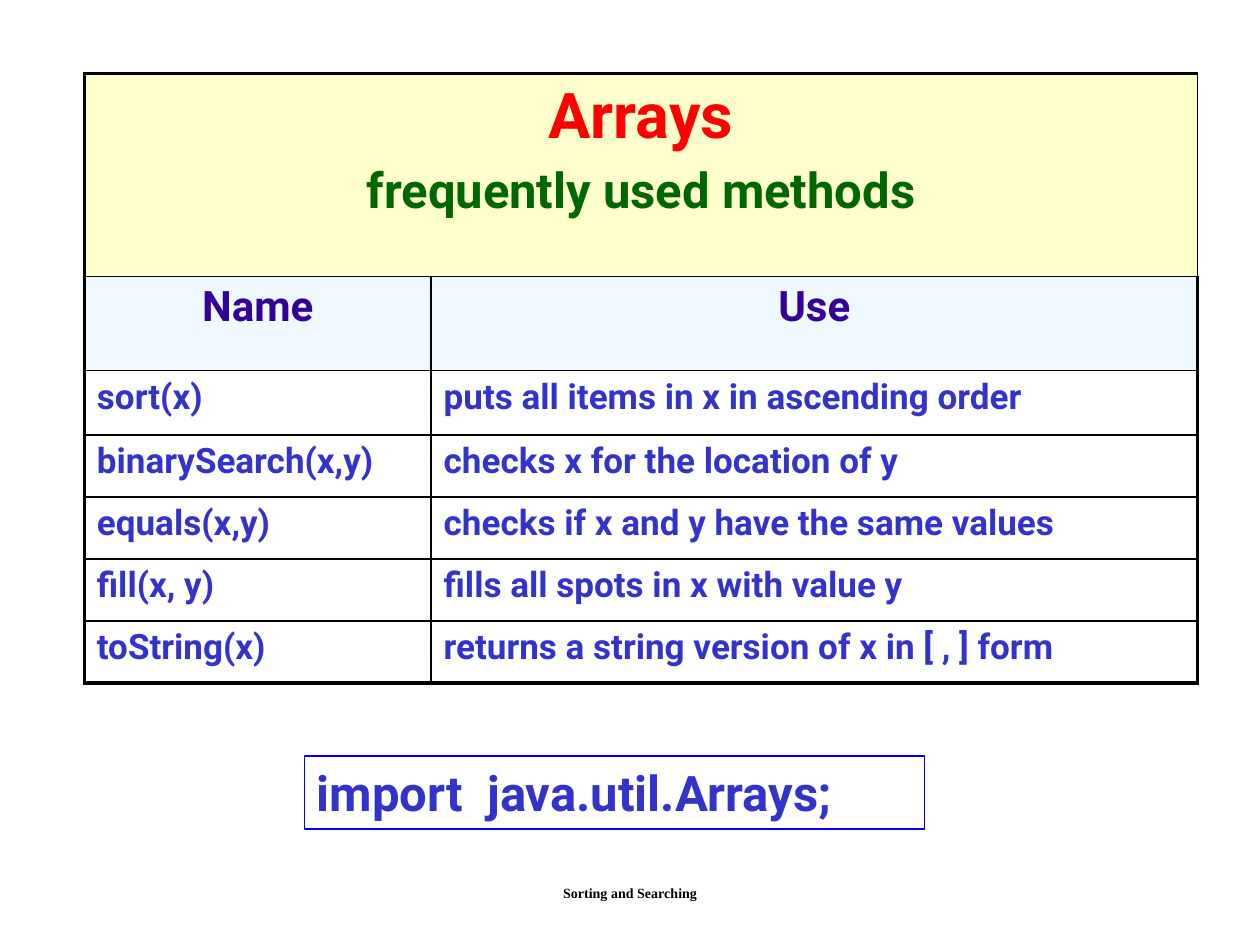
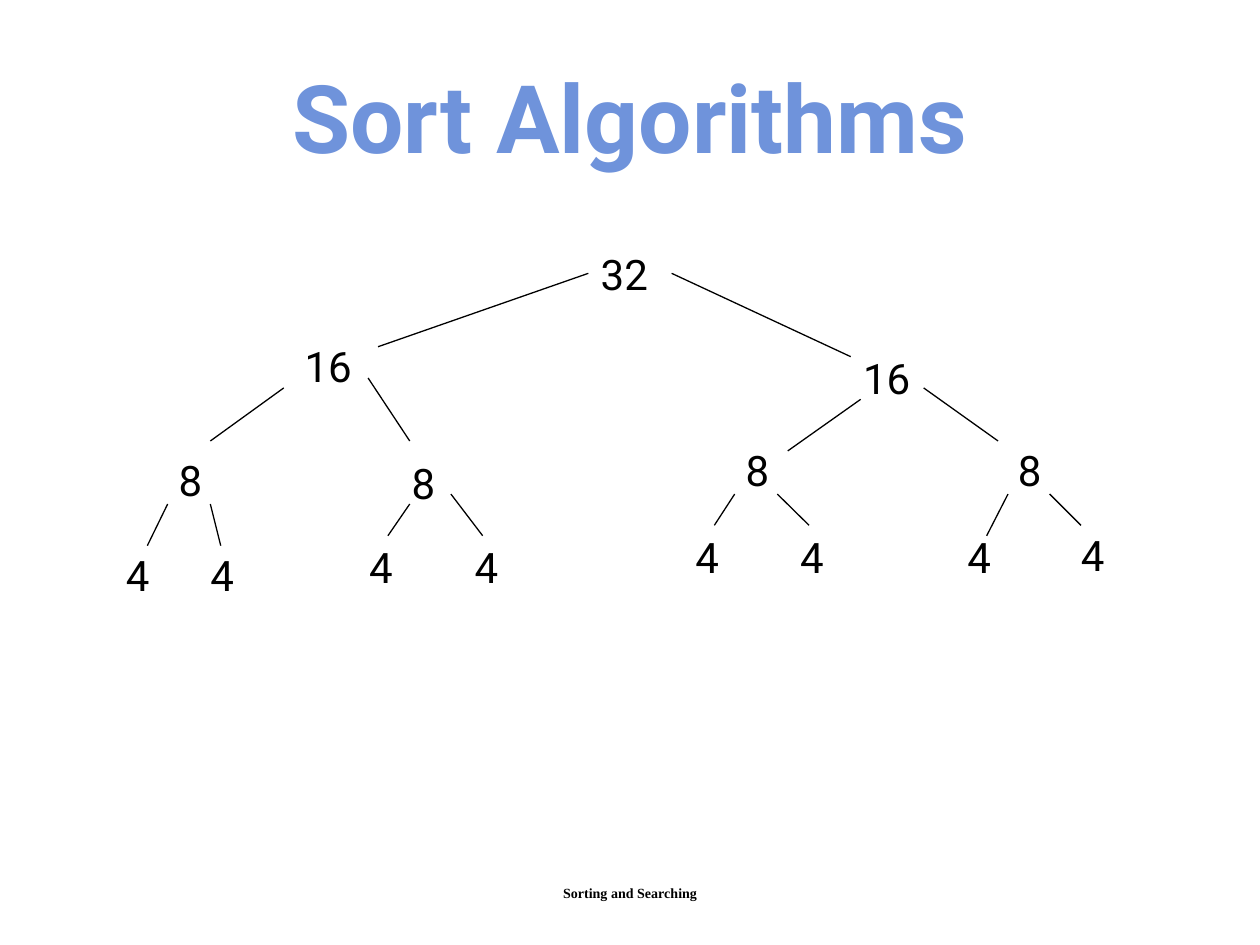
"""Build two slides on array methods and the splitting tree of sort algorithms."""
from dataclasses import dataclass

from lxml import etree
from pptx import Presentation
from pptx.dml.color import RGBColor
from pptx.enum.shapes import MSO_CONNECTOR, MSO_SHAPE
from pptx.enum.text import MSO_ANCHOR, MSO_AUTO_SIZE, PP_ALIGN
from pptx.oxml.ns import qn
from pptx.util import Cm, Pt

LEFT, CENTER = PP_ALIGN.LEFT, PP_ALIGN.CENTER
TOP, MIDDLE = MSO_ANCHOR.TOP, MSO_ANCHOR.MIDDLE
FIXED, GROW = MSO_AUTO_SIZE.NONE, MSO_AUTO_SIZE.SHAPE_TO_FIT_TEXT
STRAIGHT, RECTANGLE = MSO_CONNECTOR.STRAIGHT, MSO_SHAPE.RECTANGLE


@dataclass(frozen=True)
class TextStyle:
    """Size, colour, weight, typeface and alignment of one kind of text."""
    size: float
    color: str
    bold: bool = True
    name: str = "Roboto"
    align: PP_ALIGN = LEFT


@dataclass(frozen=True)
class Theme:
    """Colours, line widths and text styles of the whole deck."""
    ink: str = "000000"
    import_frame: str = "0000FF"
    class_fill: str = "FFFFCC"
    heading_fill: str = "E1F4FF"
    heading_opacity: int = 50
    branch_line: float = 0.75
    thin_line: float = 1
    thick_line: float = 2.25
    space_before: float = 0.2
    title: TextStyle = TextStyle(54, "6F93DB", align=CENTER)
    class_name: TextStyle = TextStyle(36, "FF0000", align=CENTER)
    class_note: TextStyle = TextStyle(28, "006600", align=CENTER)
    heading: TextStyle = TextStyle(24, "330099", align=CENTER)
    method: TextStyle = TextStyle(20, "3333CC")
    statement: TextStyle = TextStyle(28, "3333CC")
    node: TextStyle = TextStyle(24, "000000", bold=False)
    footer: TextStyle = TextStyle(8, "000000", name="Times New Roman", align=CENTER)


THEME = Theme()

METHODS = [
    ("sort(x)", "puts all items in x in ascending order"),
    ("binarySearch(x,y)", "checks x for the location of y"),
    ("equals(x,y)", "checks if x and y have the same values"),
    ("fill(x, y)", "fills all spots in x with value y"),
    ("toString(x)", "returns a string version of x in [ , ] form"),
]
COLUMN_WIDTHS = [6.99, 15.45]
ROW_HEIGHTS = [4.09, 1.9, 1.3] + [1.25] * 4

NODE_WIDTHS = {1: 1.04, 2: 1.57}
NODE_HEIGHT = 1.45
TREE_NODES = {
    "32": [(11.86, 4.88)],
    "16": [(5.89, 6.73), (17.15, 6.99)],
    "8": [(3.35, 9.04), (8.05, 9.09), (14.78, 8.84), (20.27, 8.84)],
    "4": [(2.29, 10.95), (3.99, 10.95), (7.19, 10.8), (9.32, 10.8),
          (13.77, 10.59), (15.88, 10.59), (19.25, 10.59), (21.54, 10.54)],
}
BRANCHES = [
    (5.72, 7.82, 4.24, 8.89), (7.42, 7.62, 8.26, 8.89),
    (11.86, 5.51, 7.62, 6.99), (13.54, 5.51, 17.15, 7.19),
    (3.38, 10.16, 2.97, 11), (4.24, 10.16, 4.45, 11),
    (8.26, 10.16, 7.82, 10.8), (9.09, 9.96, 9.73, 10.8),
    (14.81, 9.96, 14.4, 10.59), (15.67, 9.96, 16.31, 10.59),
    (17.35, 8.05, 15.88, 9.09), (18.62, 7.82, 20.12, 8.89),
    (20.32, 9.96, 19.89, 10.8), (21.16, 9.96, 21.79, 10.59),
]


def rgb(color):
    """Turn a hex string into a colour."""
    return RGBColor.from_string(color)


def apply_format(target, values):
    """Set every attribute given in a dict of format values."""
    for attribute, value in values.items():
        setattr(target, attribute, value)


def write_paragraph(paragraph, wording, style):
    """Write one styled run into a paragraph."""
    paragraph.alignment = style.align
    font_format = {"name": style.name, "size": Pt(style.size), "bold": style.bold}
    run = paragraph.add_run()
    run.text = wording
    apply_format(run.font, font_format)
    run.font.color.rgb = rgb(style.color)


def add_text(slide, box, wording, style, wrap=True, fit=GROW, anchor=TOP):
    """Add a text box with one paragraph."""
    label = slide.shapes.add_textbox(*map(Cm, box))
    frame_format = {"word_wrap": wrap, "auto_size": fit, "vertical_anchor": anchor}
    apply_format(label.text_frame, frame_format)
    write_paragraph(label.text_frame.paragraphs[0], wording, style)


def add_framed_text(slide, box, wording, style):
    """Add an unfilled rectangle that holds one paragraph."""
    frame = slide.shapes.add_shape(RECTANGLE, *map(Cm, box))
    frame.shadow.inherit = False
    frame.fill.background()
    frame.line.color.rgb = rgb(THEME.import_frame)
    frame.line.width = Pt(THEME.thin_line)
    frame_format = {"word_wrap": True, "auto_size": GROW, "vertical_anchor": TOP}
    apply_format(frame.text_frame, frame_format)
    write_paragraph(frame.text_frame.paragraphs[0], wording, style)


def add_branch(slide, ends):
    """Add a thin straight line between two points."""
    branch = slide.shapes.add_connector(STRAIGHT, *map(Cm, ends))
    branch.line.color.rgb = rgb(THEME.ink)
    branch.line.width = Pt(THEME.branch_line)
    etree.SubElement(branch._element.spPr, qn("a:effectLst"))


def fill_cell(cell, color=None, opacity=100):
    """Fill a cell with a colour, or leave it clear."""
    if color is None:
        cell.fill.background()
        return
    cell.fill.solid()
    cell.fill.fore_color.rgb = rgb(color)
    if opacity < 100:
        shade = cell._tc.tcPr.find(".//" + qn("a:srgbClr"))
        etree.SubElement(shade, qn("a:alpha"), val=str(opacity * 1000))


def border_cell(cell, outer_sides):
    """Draw the four borders of a cell, thick on the outer sides."""
    for position, side in enumerate("LRTB"):
        width = THEME.thick_line if side in outer_sides else THEME.thin_line
        border = etree.Element(qn("a:ln" + side), w=str(Pt(width)))
        solid = etree.SubElement(border, qn("a:solidFill"))
        etree.SubElement(solid, qn("a:srgbClr"), val=THEME.ink)
        cell._tc.get_or_add_tcPr().insert(position, border)


def write_cell(cell, lines):
    """Write styled lines into a cell, one paragraph each."""
    for index, (wording, style) in enumerate(lines):
        frame = cell.text_frame
        paragraph = frame.add_paragraph() if index else frame.paragraphs[0]
        paragraph.space_before = Pt(style.size * THEME.space_before)
        write_paragraph(paragraph, wording, style)


def add_method_table(slide):
    """Add the table of methods under its class heading."""
    row_count, column_count = len(ROW_HEIGHTS), len(COLUMN_WIDTHS)
    size = (sum(COLUMN_WIDTHS), sum(ROW_HEIGHTS))
    table = slide.shapes.add_table(
        row_count, column_count, *map(Cm, (1.7, 1.48, *size))).table
    apply_format(table, {"first_row": False, "horz_banding": False})
    for column, width in zip(table.columns, COLUMN_WIDTHS):
        column.width = Cm(width)
    for row, height in zip(table.rows, ROW_HEIGHTS):
        row.height = Cm(height)

    fills = {0: (THEME.class_fill,), 1: (THEME.heading_fill, THEME.heading_opacity)}
    for row in range(row_count):
        for column in range(column_count):
            edges = {"L": column == 0, "R": column == column_count - 1,
                     "T": row == 0, "B": row == row_count - 1}
            cell = table.cell(row, column)
            fill_cell(cell, *fills.get(row, ()))
            border_cell(cell, [side for side, outer in edges.items() if outer])

    table.cell(0, 0).merge(table.cell(0, column_count - 1))
    write_cell(table.cell(0, 0), [("Arrays", THEME.class_name),
                                  ("frequently used methods", THEME.class_note)])
    for row, entries in enumerate([("Name", "Use"), *METHODS], start=1):
        style = THEME.heading if row == 1 else THEME.method
        for column, wording in enumerate(entries):
            write_cell(table.cell(row, column), [(wording, style)])


def add_split_tree(slide):
    """Add the tree that halves 32 down to 4."""
    for value, places in TREE_NODES.items():
        for place in places:
            box = (*place, NODE_WIDTHS[len(value)], NODE_HEIGHT)
            add_text(slide, box, value, THEME.node, wrap=False)
    for ends in BRANCHES:
        add_branch(slide, ends)


def add_lesson_slide(deck):
    """Add a blank slide with the shared footer."""
    slide = deck.slides.add_slide(deck.slide_layouts[6])
    add_text(slide, (8.68, 17.36, 8.05, 1.27), "Sorting and Searching",
             THEME.footer, wrap=False, fit=FIXED, anchor=MIDDLE)
    return slide


def main():
    """Build and save the deck."""
    deck = Presentation()
    apply_format(deck, {"slide_width": Cm(25.4), "slide_height": Cm(19.05)})

    methods_slide = add_lesson_slide(deck)
    add_method_table(methods_slide)
    add_framed_text(methods_slide, (6.14, 15.24, 12.5, 1.48),
                    "import  java.util.Arrays;", THEME.statement)

    tree_slide = add_lesson_slide(deck)
    add_split_tree(tree_slide)
    add_text(tree_slide, (0, 1.06, 25.4, 2.56), "Sort Algorithms", THEME.title)

    deck.save("out.pptx")


if __name__ == "__main__":
    main()
